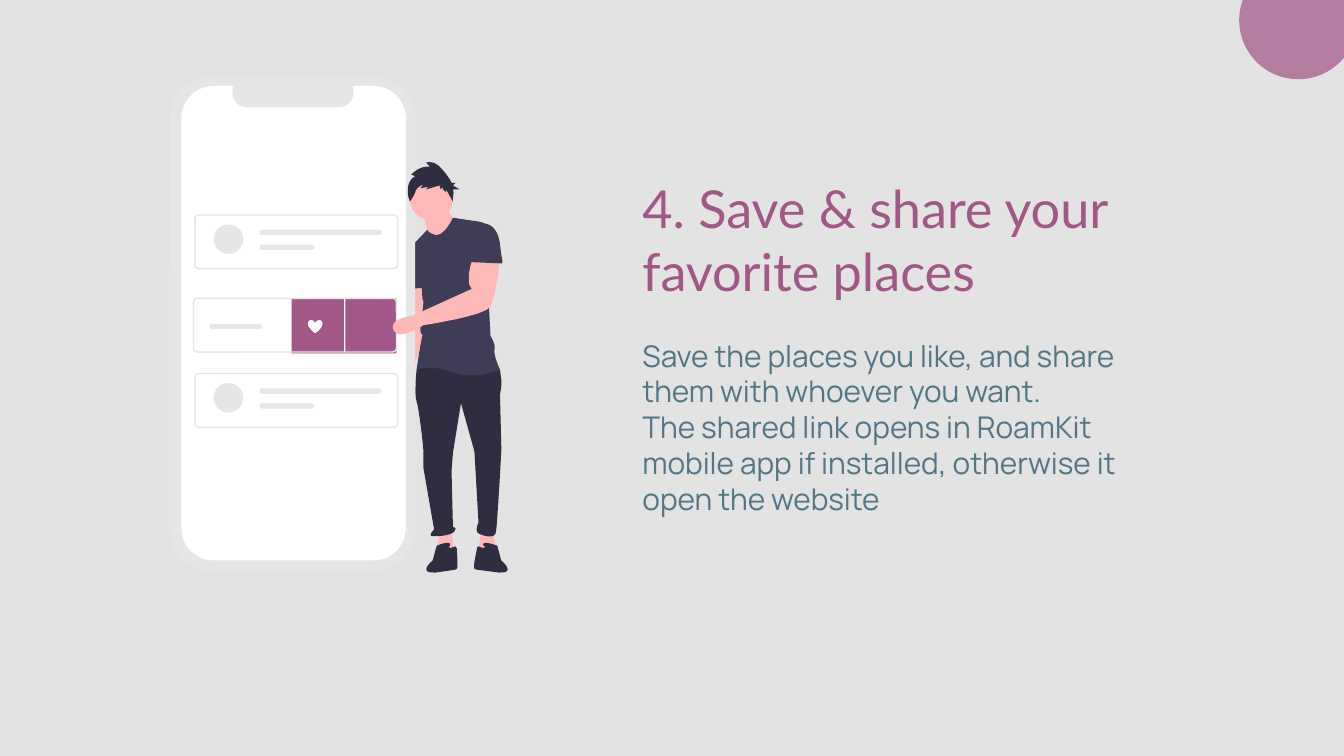
from pptx import Presentation
from pptx.dml.color import RGBColor
from pptx.enum.shapes import MSO_SHAPE as SHAPE
from pptx.enum.text import MSO_ANCHOR as ANCHOR, MSO_AUTO_SIZE as AUTOSIZE, PP_ALIGN as ALIGN
from pptx.oxml.xmlchemy import OxmlElement
from pptx.util import Inches, Pt

BACKGROUND = RGBColor(0xE3, 0xE3, 0xE3)
PLUM = RGBColor(0xA1, 0x58, 0x87)
TEAL = RGBColor(0x53, 0x76, 0x86)
SKIN = RGBColor(0xFF, 0xB8, 0xB8)
NAVY = RGBColor(0x2F, 0x2E, 0x41)
SHIRT = RGBColor(0x3F, 0x3D, 0x56)
PALE = RGBColor(0xE6, 0xE6, 0xE6)
WHITE = RGBColor(0xFF, 0xFF, 0xFF)
CURVE_STEPS = 8

prs = Presentation()
prs.slide_width = Inches(10)
prs.slide_height = Inches(10 * 9 / 16)
slide = prs.slides.add_slide(prs.slide_layouts[1])
slide.background.fill.solid()
slide.background.fill.fore_color.rgb = BACKGROUND


def block(preset, x, y, w, h, color, radius=None):
    part = slide.shapes.add_shape(preset, Inches(x), Inches(y), Inches(w), Inches(h))
    part.shadow.inherit = False
    part.fill.solid()
    part.fill.fore_color.rgb = color
    part.line.fill.background()
    if radius is not None:
        part.adjustments[0] = radius / min(w, h)
    return part


def outline(color, start, *steps):
    points = [start]
    for step in steps:
        if len(step) == 2:
            points.append(step)
            continue
        x0, y0 = points[-1]
        x1, y1, x2, y2, x3, y3 = step
        for i in range(1, CURVE_STEPS + 1):
            t = i / CURVE_STEPS
            a, b, c, d = (1 - t) ** 3, 3 * t * (1 - t) ** 2, 3 * t * t * (1 - t), t ** 3
            points.append((a * x0 + b * x1 + c * x2 + d * x3,
                           a * y0 + b * y1 + c * y2 + d * y3))
    points = [(Inches(x), Inches(y)) for x, y in points]
    builder = slide.shapes.build_freeform(*points[0])
    builder.add_line_segments(points[1:], close=True)
    part = builder.convert_to_shape()
    part.shadow.inherit = False
    part.fill.solid()
    part.fill.fore_color.rgb = color
    part.line.fill.background()


corner_circle = block(SHAPE.OVAL, 9.22, -0.29, 0.88, 0.88, PLUM)
alpha = OxmlElement("a:alpha")
alpha.set("val", "73000")
corner_circle.fill._xPr.find(".//{*}srgbClr").append(alpha)

title, body = slide.shapes.title, slide.placeholders[1]
for holder, top, height, size, font, color, lines in (
    (title, 1.21, 1.19, 28, "Lato", PLUM, ["4. Save & share your favorite places"]),
    (body, 2.41, 2.46, 16, "Manrope", TEAL, [
        "Save the places you like, and share them with whoever you want.",
        "The shared link opens in RoamKit mobile app if installed, otherwise it open the website",
    ]),
):
    holder.left, holder.top = Inches(4.68), Inches(top)
    holder.width, holder.height = Inches(3.85), Inches(height)
    frame = holder.text_frame
    frame.word_wrap = True
    frame.auto_size = AUTOSIZE.NONE
    frame.vertical_anchor = ANCHOR.TOP
    frame.margin_left = frame.margin_right = Inches(0.1)
    frame.margin_top = frame.margin_bottom = Inches(0.1)
    for i, line in enumerate(lines):
        paragraph = frame.add_paragraph() if i else frame.paragraphs[0]
        props = paragraph._p.get_or_add_pPr()
        props.set("marL", "0")
        props.set("indent", "0")
        props.append(OxmlElement("a:buNone"))
        paragraph.alignment = ALIGN.LEFT
        paragraph.space_before = Pt(0)
        run = paragraph.add_run()
        run.text = line
        run.font.size = Pt(size)
        run.font.name = font
        run.font.color.rgb = color

outline(SKIN, (3.07, 2.12), (3.07, 2.12, 3.08, 2.28, 3.08, 2.29), (2.99, 2.72),
        (2.99, 2.72, 2.87, 2.95, 2.99, 2.94), (3.12, 2.93, 3.08, 2.72, 3.08, 2.72),
        (3.21, 2.37), (3.15, 2.12))
outline(SKIN, (3.67, 3.96), (3.69, 4.09), (3.56, 4.11), (3.58, 3.94))
outline(SKIN, (3.27, 3.96), (3.25, 4.09), (3.38, 4.11), (3.36, 3.94))

outline(NAVY, (3.13, 2.7), (3.1, 2.75), (3.1, 2.75, 3.08, 2.93, 3.1, 2.99),
        (3.12, 3.05, 3.15, 3.33, 3.15, 3.35), (3.15, 3.48), (3.23, 3.94),
        (3.23, 3.94, 3.18, 3.99, 3.22, 3.99), (3.26, 3.99, 3.39, 3.99, 3.39, 3.93),
        (3.37, 3.92), (3.37, 3.92, 3.36, 3.52, 3.36, 3.5), (3.37, 3.37), (3.43, 3),
        (3.53, 3.36), (3.56, 3.89), (3.56, 3.89, 3.53, 3.95, 3.56, 3.97),
        (3.58, 3.98, 3.68, 4.02, 3.69, 3.96), (3.7, 3.9, 3.73, 3.37, 3.73, 3.34),
        (3.73, 3.32, 3.72, 2.94, 3.72, 2.94), (3.73, 2.87), (3.73, 2.83),
        (3.72, 2.75), (3.44, 2.67))
outline(NAVY, (3.34, 4.07), (3.34, 4.07, 3.37, 4.04, 3.33, 4.04),
        (3.3, 4.04, 3.28, 4.05, 3.25, 4.06), (3.22, 4.17),
        (3.22, 4.17, 3.1, 4.27, 3.24, 4.26), (3.38, 4.24, 3.4, 4.24, 3.4, 4.23),
        (3.41, 4.22, 3.4, 4.13, 3.4, 4.08), (3.39, 4.07, 3.39, 4.06, 3.38, 4.07),
        (3.37, 4.07), (3.36, 4.08, 3.35, 4.08, 3.34, 4.07))
outline(NAVY, (3.61, 4.07), (3.61, 4.07, 3.57, 4.04, 3.62, 4.04),
        (3.64, 4.04, 3.67, 4.05, 3.7, 4.06), (3.73, 4.17),
        (3.73, 4.17, 3.85, 4.27, 3.71, 4.26), (3.57, 4.24, 3.53, 4.24, 3.53, 4.23),
        (3.52, 4.22, 3.54, 4.13, 3.55, 4.08), (3.55, 4.07, 3.56, 4.06, 3.57, 4.07),
        (3.58, 4.07), (3.58, 4.08, 3.6, 4.08, 3.61, 4.07))
outline(SKIN, (3.15, 1.59), (3.15, 1.59, 3.18, 1.71, 3.18, 1.73),
        (3.18, 1.75, 3.28, 1.81, 3.28, 1.81), (3.4, 1.66),
        (3.4, 1.66, 3.32, 1.56, 3.32, 1.53))
outline(SHIRT, (3.25, 1.75), (3.25, 1.75, 3.19, 1.74, 3.18, 1.71),
        (3.18, 1.71, 3.01, 1.88, 3.01, 1.91), (3.14, 2.15),
        (3.14, 2.15, 3.14, 2.23, 3.15, 2.24), (3.15, 2.26),
        (3.15, 2.29, 3.12, 2.45, 3.13, 2.47), (3.14, 2.5, 3.15, 2.48, 3.14, 2.51),
        (3.13, 2.55, 3.1, 2.75, 3.1, 2.75), (3.1, 2.75, 3.21, 2.71, 3.37, 2.77),
        (3.53, 2.83, 3.72, 2.75, 3.72, 2.75), (3.72, 2.75, 3.67, 2.64, 3.68, 2.6),
        (3.69, 2.56, 3.65, 2.5, 3.65, 2.5), (3.62, 1.93),
        (3.62, 1.93, 3.66, 1.68, 3.63, 1.67), (3.57, 1.65), (3.37, 1.62),
        (3.37, 1.62, 3.32, 1.74, 3.25, 1.75))
outline(SHIRT, (3.07, 1.87), (3.01, 1.91), (3.01, 1.91, 2.98, 2, 3.01, 2.04),
        (3.04, 2.09, 3.05, 2.15, 3.05, 2.15), (3.17, 2.14))

block(SHAPE.ROUNDED_RECTANGLE, 1.26, 0.56, 1.83, 3.7, PALE, 0.32)
block(SHAPE.ROUNDED_RECTANGLE, 1.35, 0.64, 1.67, 3.53, WHITE, 0.24)
block(SHAPE.ROUNDED_RECTANGLE, 1.73, 0.57, 0.9, 0.23, PALE, 0.11)

block(SHAPE.RECTANGLE, 2.17, 2.22, 0.78, 0.41, PLUM)
block(SHAPE.RECTANGLE, 2.56, 2.21, 0.01, 0.41, WHITE)
block(SHAPE.HEART, 2.29, 2.38, 0.11, 0.1, WHITE)
block(SHAPE.ROUNDED_RECTANGLE, 1.56, 2.41, 0.39, 0.04, PALE, 0.02)

for left, top in ((1.45, 1.6), (1.44, 2.22), (1.45, 2.78)):
    card = block(SHAPE.ROUNDED_RECTANGLE, left, top, 1.51, 0.4, PALE, 0.03)
    card.fill.background()
    card.line.color.rgb = PALE
    card.line.width = Pt(0.75)

for top in (1.59, 2.77):
    block(SHAPE.OVAL, 1.59, top + 0.08, 0.22, 0.22, PALE)
    for drop, width in ((0.12, 0.91), (0.23, 0.41)):
        block(SHAPE.ROUNDED_RECTANGLE, 1.93, top + drop, width, 0.04, PALE, 0.02)

block(SHAPE.OVAL, 3.05, 1.32, 0.32, 0.32, SKIN)
outline(NAVY, (3.09, 1.31), (3.06, 1.3), (3.06, 1.3, 3.12, 1.23, 3.2, 1.24), (3.17, 1.21),
        (3.17, 1.21, 3.23, 1.19, 3.28, 1.25), (3.31, 1.28, 3.34, 1.32, 3.36, 1.36),
        (3.39, 1.36), (3.37, 1.38), (3.42, 1.41), (3.37, 1.41),
        (3.38, 1.43, 3.37, 1.45, 3.37, 1.48), (3.37, 1.5), (3.32, 1.41), (3.32, 1.43),
        (3.32, 1.43, 3.29, 1.41, 3.29, 1.39), (3.28, 1.41), (3.27, 1.38), (3.17, 1.41),
        (3.19, 1.39), (3.13, 1.4), (3.15, 1.37), (3.15, 1.37, 3.09, 1.4, 3.09, 1.43),
        (3.08, 1.46, 3.05, 1.5, 3.05, 1.5), (3.04, 1.47),
        (3.04, 1.47, 3.01, 1.35, 3.09, 1.31))
outline(SKIN, (3.52, 1.92), (3.52, 1.92, 3.48, 2.01, 3.49, 2.1),
        (3.49, 2.12, 3.5, 2.13, 3.51, 2.15), (3.07, 2.35),
        (3.07, 2.35, 2.88, 2.37, 2.93, 2.46), (2.98, 2.54, 3.15, 2.42, 3.15, 2.42),
        (3.15, 2.42, 3.62, 2.35, 3.65, 2.28), (3.69, 2.21, 3.72, 1.93, 3.72, 1.93))
outline(SHIRT, (3.54, 1.67), (3.63, 1.67), (3.63, 1.67, 3.7, 1.68, 3.72, 1.81),
        (3.73, 1.93, 3.75, 1.96, 3.73, 1.96), (3.73, 1.96, 3.5, 1.95, 3.5, 1.95))

prs.save("out.pptx")
